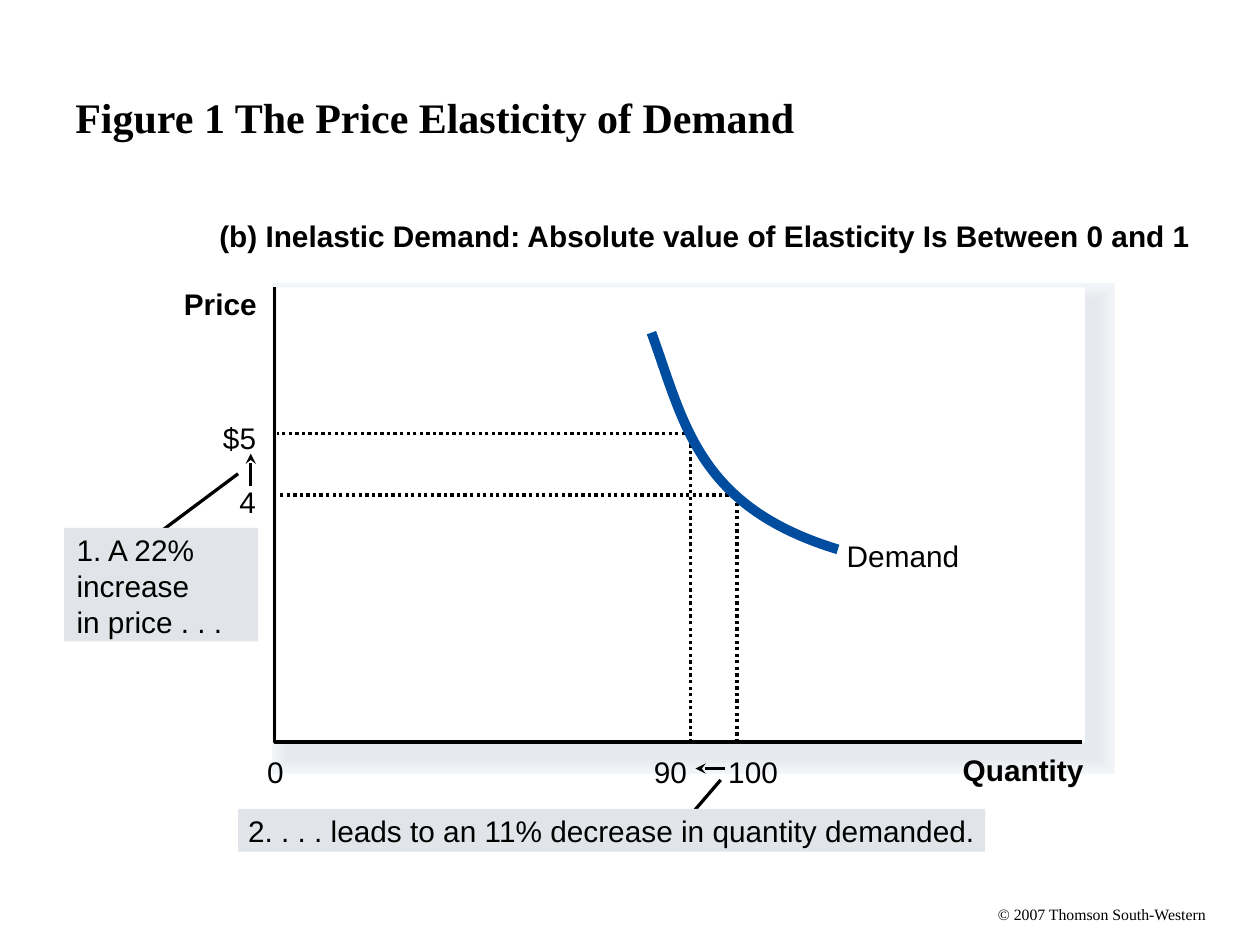
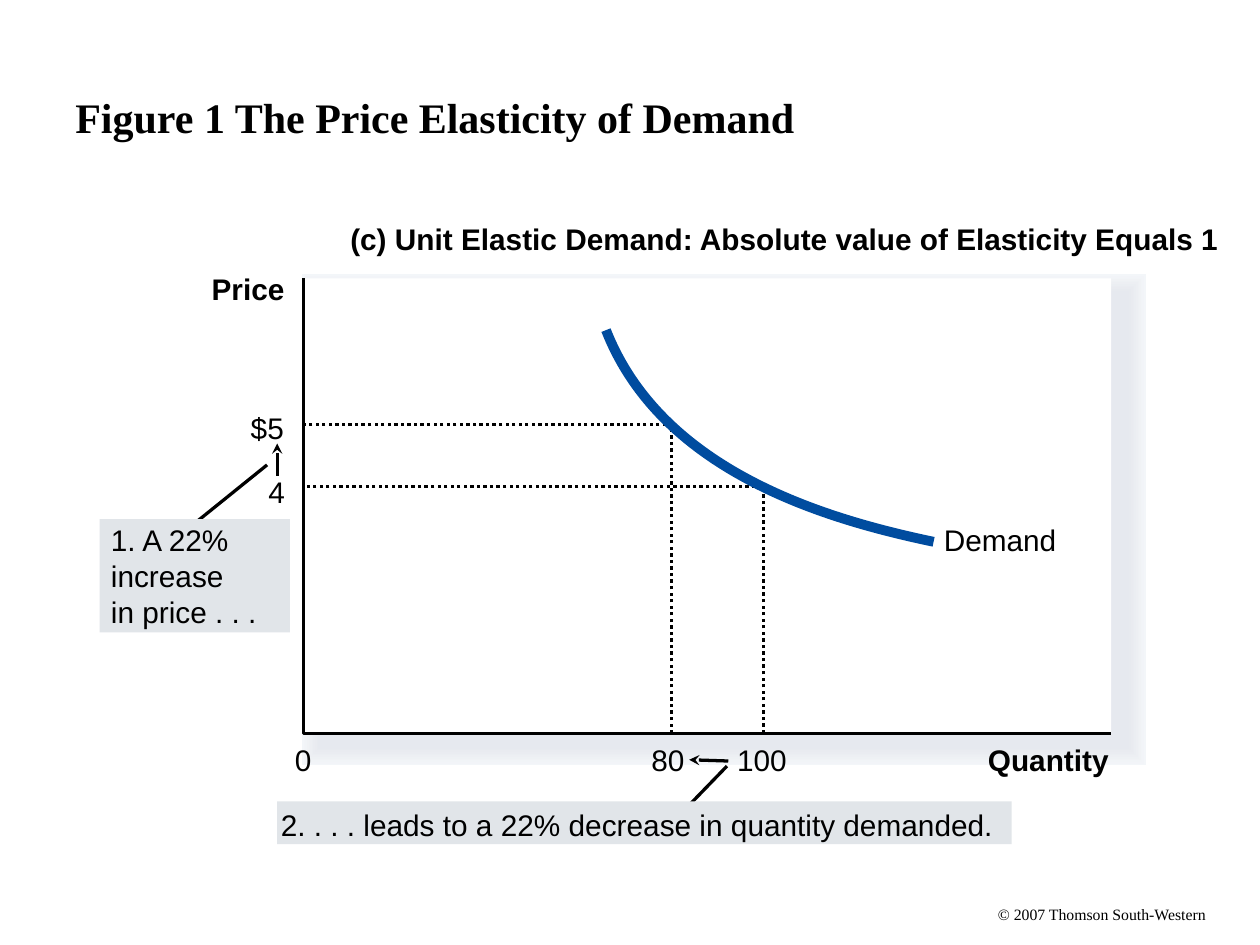
from lxml.etree import SubElement
from pptx import Presentation
from pptx.dml.color import RGBColor
from pptx.enum.dml import MSO_LINE
from pptx.enum.shapes import MSO_CONNECTOR, MSO_SHAPE
from pptx.enum.text import MSO_ANCHOR, MSO_AUTO_SIZE, PP_ALIGN
from pptx.oxml.ns import qn
from pptx.util import Inches, Pt

BLACK = RGBColor(0x00, 0x00, 0x00)
WHITE = RGBColor(0xFF, 0xFF, 0xFF)
CURVE_BLUE = RGBColor(0x00, 0x4C, 0x9F)
CALLOUT_GREY = RGBColor(0xE1, 0xE5, 0xE9)
# Soft shadow, from the widest outline to the narrowest
SHADOW_TINTS = [RGBColor.from_string(tint) for tint in (
    "F3F6F9", "F2F4F8", "F1F4F7", "F0F2F5", "EEF1F4", "EDEFF3",
    "EBEEF2", "EAECF1", "E9EBF0", "E7EAEF", "E6E9EF")]

TITLE = "Figure 1 The Price Elasticity of Demand"
FOOTER = "© 2007 Thomson South-Western"
BODY_FONT = {"name": "Arial", "size": Pt(17), "bold": False}
BOLD_FONT = {**BODY_FONT, "bold": True}
TITLE_FONT = {"name": "Times New Roman", "size": Pt(24), "bold": True}
FOOTER_FONT = {"name": "Times New Roman", "size": Pt(9), "bold": False}

PLOT_WIDTH, PLOT_HEIGHT = 6.41, 3.61
PRICE_DEPTHS = (1.16, 1.65)  # $5 and 4, below the top of the plot
LINE_WIDTH, CURVE_WIDTH, SHADOW_STEP = 1.87, 5.61, 1.88
LABEL_HEIGHT = 0.28

# A callout holds its lines, its place, its left and top margins, and its pointer
FIGURES = [
    {
        "plot": (2.2, 2.28), "axis_left": 2.18, "shadow": (2.3, 2.39),
        "quantities": (5.48, 5.85),
        "curve": [(5.17, 2.64), (5.43, 3.35), (5.53, 4.02), (6.65, 4.36)],
        "arrows": [(1.99, 3.6, 1.99, 3.86), (5.52, 6.1, 5.75, 6.1)],
        "callouts": [
            (["1. A 22%", "increase", "in price . . ."],
             (0.51, 4.19, 1.54, 0.9), (0.1, 0.03), (1.26, 4.23, 1.89, 3.76)),
            (["2. . . . leads to an 11% decrease in quantity demanded."],
             (1.89, 6.42, 5.93, 0.34), (0.08, 0.03), (5.72, 6.19, 5.48, 6.47)),
        ],
        "headings": [
            ("(b) Inelastic Demand: Absolute value of Elasticity Is Between 0 and 1",
             1.74, 1.73, 7.72),
            ("Price", 1.46, 2.27, 0.6),
            ("Quantity", 7.64, 5.97, 0.98),
        ],
        "labels": [
            ("0", 2.12, 5.98, 0.15), ("90", 5.19, 5.98, 0.3),
            ("100", 5.78, 5.98, 0.43), ("$5", 1.77, 3.33, 0.3),
            ("4", 1.9, 3.84, 0.15), ("Demand", 6.72, 4.27, 0.92),
        ],
    },
    {
        "plot": (2.41, 2.21), "axis_left": 2.41, "shadow": (2.54, 2.32),
        "quantities": (5.33, 6.06),
        "curve": [(4.81, 2.62), (5.25, 3.74), (6.55, 4.12), (7.41, 4.3)],
        "arrows": [(2.2, 3.52, 2.2, 3.78), (5.47, 6.03, 5.78, 6.04)],
        "callouts": [
            (["1. A 22%", "increase", "in price . . ."],
             (0.79, 4.12, 1.51, 0.9), (0.09, 0.02), (1.5, 4.19, 2.12, 3.69)),
            (["2. . . . leads to a 22% decrease in quantity demanded."],
             (2.2, 6.36, 5.83, 0.34), (0.03, 0.04), (5.77, 6.08, 5.46, 6.4)),
        ],
        "headings": [
            ("(c) Unit Elastic Demand: Absolute value of Elasticity Equals 1",
             2.78, 1.75, 6.91),
            ("Price", 1.68, 2.15, 0.6),
            ("Quantity", 7.84, 5.89, 0.98),
        ],
        "labels": [
            ("0", 2.34, 5.89, 0.15), ("80", 5.17, 5.89, 0.3),
            ("100", 5.85, 5.89, 0.43), ("$5", 1.99, 3.25, 0.3),
            ("4", 2.13, 3.76, 0.15), ("Demand", 7.49, 4.14, 0.92),
        ],
    },
]


def write(shape, lines, font_format, **frame_format):
    """Fill the shape with left-aligned lines; frame_format sets its text frame."""
    frame = shape.text_frame
    frame.margin_left = frame.margin_top = frame.margin_right = frame.margin_bottom = 0
    frame.word_wrap = False
    for name, value in frame_format.items():
        setattr(frame, name, value)
    frame.text = "\n".join(lines)
    for paragraph in frame.paragraphs:
        paragraph.alignment = PP_ALIGN.LEFT
        paragraph.font.color.rgb = BLACK
        for name, value in font_format.items():
            setattr(paragraph.font, name, value)


def add_outline(shapes, points, color, width):
    """Draw an open, unfilled freeform through the points, given in inches."""
    corners = [(Inches(x), Inches(y)) for x, y in points]
    builder = shapes.build_freeform(*corners[0])
    builder.add_line_segments(corners[1:], close=False)
    shape = builder.convert_to_shape()
    shape.shadow.inherit = False
    shape.fill.background()
    shape.line.color.rgb = color
    shape.line.width = Pt(width)
    return shape


presentation = Presentation()
presentation.slide_width, presentation.slide_height = Inches(10), Inches(7.5)

for figure in FIGURES:
    slide = presentation.slides.add_slide(presentation.slide_layouts[6])
    shapes = slide.shapes

    # Footer and title
    footer = shapes.add_textbox(Inches(7.92), Inches(7.18), Inches(1.66), Inches(0.15))
    write(footer, [FOOTER], FOOTER_FONT)
    title = shapes.add_textbox(Inches(0.5), Inches(0.3), Inches(9), Inches(1.25))
    write(title, [TITLE], TITLE_FONT, word_wrap=True, margin_left=Inches(0.1),
          vertical_anchor=MSO_ANCHOR.MIDDLE)

    # Plot area on its soft, square-cornered shadow
    plot_left, plot_top = figure["plot"]
    plot_bottom = plot_top + PLOT_HEIGHT
    panels = [(figure["shadow"], tint, (len(SHADOW_TINTS) - step) * SHADOW_STEP)
              for step, tint in enumerate(SHADOW_TINTS)]
    panels.append((figure["plot"], WHITE, 0))
    for (left, top), color, outline_width in panels:
        panel = shapes.add_shape(MSO_SHAPE.RECTANGLE, Inches(left), Inches(top),
                                 Inches(PLOT_WIDTH), Inches(PLOT_HEIGHT))
        panel.shadow.inherit = False
        panel.fill.solid()
        panel.fill.fore_color.rgb = color
        if outline_width:
            panel.line.color.rgb = color
            panel.line.width = Pt(outline_width)
            SubElement(panel.element.spPr.find(qn("a:ln")), qn("a:miter"), lim="800000")
        else:
            panel.line.fill.background()

    # Axes and dotted guides
    axis_left = figure["axis_left"]
    add_outline(shapes, [(axis_left, plot_top), (axis_left, plot_bottom),
                         (axis_left + PLOT_WIDTH, plot_bottom)], BLACK, LINE_WIDTH)
    for quantity, depth in zip(figure["quantities"], PRICE_DEPTHS):
        price = plot_top + depth
        guide = add_outline(shapes, [(quantity, plot_bottom), (quantity, price),
                                     (plot_left, price)], BLACK, LINE_WIDTH)
        guide.line.dash_style = MSO_LINE.ROUND_DOT

    # Demand curve: the three straight segments become one Bézier segment
    curve = add_outline(shapes, figure["curve"], CURVE_BLUE, CURVE_WIDTH)
    curve_outline = next(curve.element.iter(qn("a:path")))
    bezier = SubElement(curve_outline, qn("a:cubicBezTo"))
    for segment in curve_outline.findall(qn("a:lnTo")):
        bezier.append(segment[0])
        curve_outline.remove(segment)

    # Arrows of change and callout pointers
    pointers = [pointer for *_, pointer in figure["callouts"]]
    for ends in figure["arrows"] + pointers:
        connector = shapes.add_connector(MSO_CONNECTOR.STRAIGHT, *map(Inches, ends))
        connector.line.color.rgb = BLACK
        connector.line.width = Pt(LINE_WIDTH)
        properties = connector.element.spPr
        if ends in figure["arrows"]:
            SubElement(properties.find(qn("a:ln")), qn("a:headEnd"), type="stealth")
        SubElement(properties, qn("a:effectLst"))

    # Callouts
    for lines, place, (margin_left, margin_top), _ in figure["callouts"]:
        callout = shapes.add_shape(MSO_SHAPE.RECTANGLE, *map(Inches, place))
        callout.shadow.inherit = False
        callout.fill.solid()
        callout.fill.fore_color.rgb = CALLOUT_GREY
        callout.line.fill.background()
        write(callout, lines, BODY_FONT, margin_left=Inches(margin_left),
              margin_top=Inches(margin_top), vertical_anchor=MSO_ANCHOR.TOP)
        for paragraph in callout.text_frame.paragraphs:
            paragraph.line_spacing = Pt(20.5)

    # Headings and labels
    for key, font_format in (("headings", BOLD_FONT), ("labels", BODY_FONT)):
        for text, left, top, width in figure[key]:
            label = shapes.add_textbox(Inches(left), Inches(top),
                                       Inches(width), Inches(LABEL_HEIGHT))
            write(label, [text], font_format, auto_size=MSO_AUTO_SIZE.SHAPE_TO_FIT_TEXT)

presentation.save("out.pptx")
